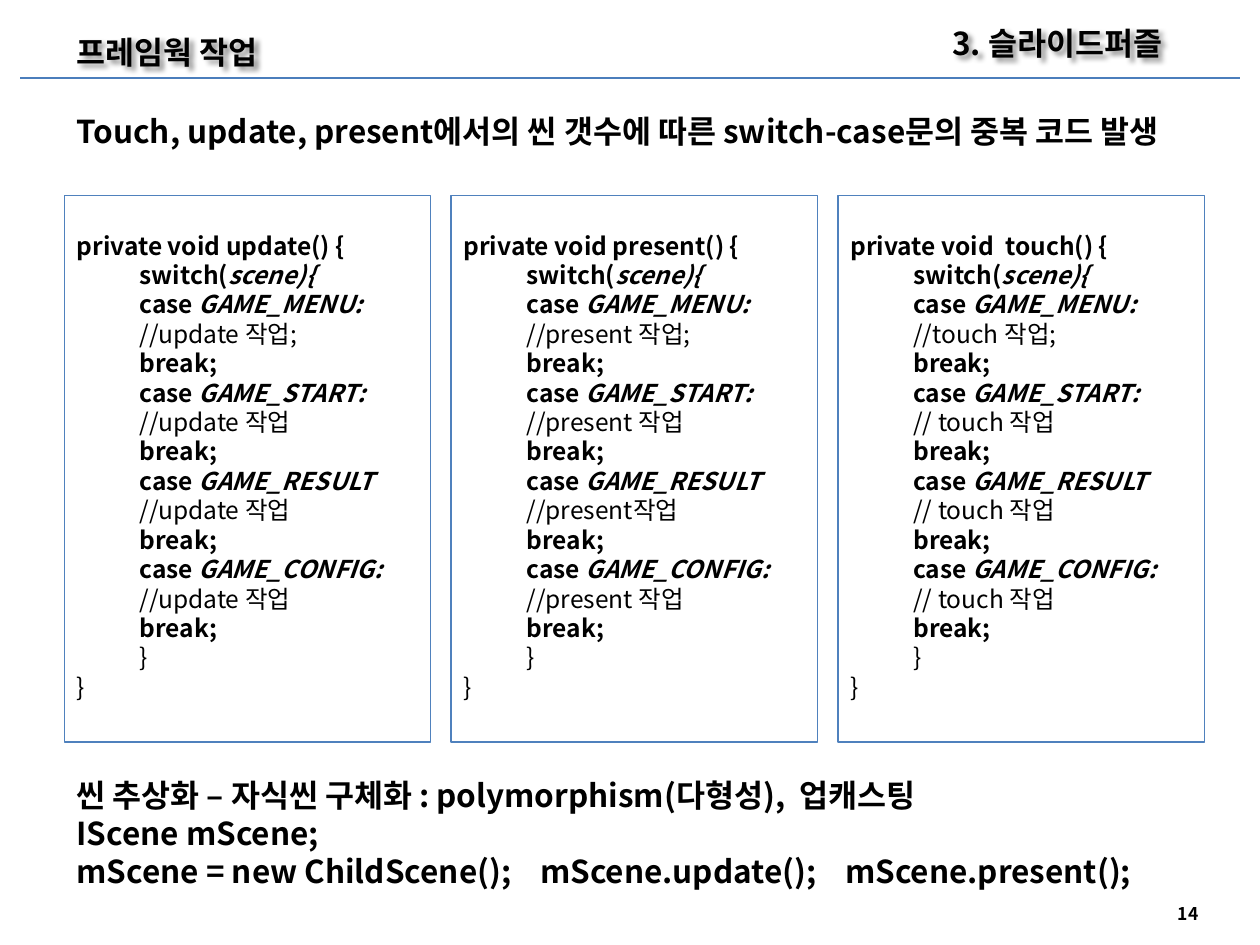
import pptx
import pptx.util
import pptx.dml.color
import pptx.enum.shapes
import pptx.enum.text
import pptx.oxml
import pptx.oxml.ns
from lxml import etree

Inches = pptx.util.Inches
Pt = pptx.util.Pt
qn = pptx.oxml.ns.qn

FONT = "Noto Sans CJK KR"
COLORS = {"text": "000000", "rule": "4B7EBC", "panel": "4F81BD"}


def add_line(frame, runs, size, bold=True, indent=0):
    """Append a paragraph made of (text, italic) runs."""
    first = frame.paragraphs[0]
    paragraph = frame.add_paragraph() if first.runs else first
    paragraph.alignment = pptx.enum.text.PP_ALIGN.LEFT
    paragraph.line_spacing = Pt(size * 1.2)
    if indent:
        paragraph.level = 1
        properties = paragraph._p.get_or_add_pPr()
        properties.set("marL", str(Inches(indent)))
        properties.set("indent", "0")
    font = paragraph.font
    font.name, font.size, font.bold = FONT, Pt(size), bold
    font.color.rgb = pptx.dml.color.RGBColor.from_string(COLORS["text"])
    etree.SubElement(font._element, qn("a:ea"), typeface=FONT)
    for text, italic in runs:
        run = paragraph.add_run()
        run.text = text
        if italic:
            run.font.italic = True
    return paragraph


def add_text(left, top, width, height, lines, size=18):
    box = slide.shapes.add_textbox(Inches(left), Inches(top), Inches(width), Inches(height))
    box.text_frame.word_wrap = False
    for line in lines:
        add_line(box.text_frame, [(line, False)], size)
    return box


presentation = pptx.Presentation()
presentation.slide_width = Inches(10)
presentation.slide_height = Inches(7.5)
slide = presentation.slides.add_slide(presentation.slide_layouts[6])

# Page number and header rule
add_text(9.25, 7.12, 0.65, 0.27, ["14"], size=10)
rule = slide.shapes.add_connector(
    pptx.enum.shapes.MSO_CONNECTOR.STRAIGHT,
    Inches(0.16), Inches(0.62), Inches(9.84), Inches(0.62))
rule.line.color.rgb = pptx.dml.color.RGBColor.from_string(COLORS["rule"])
rule.line.width = Pt(0.75)
etree.SubElement(rule._element.spPr, qn("a:effectLst"))

# Header titles with a soft shadow
chapter = add_text(7.46, 0.14, 2.02, 0.4, ["3. 슬라이드퍼즐"])
section = add_text(0.51, 0.21, 1.81, 0.4, ["프레임웍 작업"])
for title in (chapter, section):
    effects = etree.SubElement(title._element.spPr, qn("a:effectLst"))
    shadow = etree.SubElement(effects, qn("a:outerShdw"), blurRad="38100",
                              dist="38100", dir="2700000", algn="tl")
    shade = etree.SubElement(shadow, qn("a:srgbClr"), val=COLORS["text"])
    etree.SubElement(shade, qn("a:alpha"), val="43000")

# Problem statement
add_text(0.51, 0.84, 9.26, 0.4,
         ["Touch, update, present에서의 씬 갯수에 따른 switch-case문의 중복 코드 발생"])

# Code panels: signature, then one comment for each scene
scenes = ["GAME_MENU:", "GAME_START:", "GAME_RESULT", "GAME_CONFIG:"]
panels = [
    ("private void update() {",
     ["//update 작업;", "//update 작업", "//update 작업", "//update 작업"]),
    ("private void present() {",
     ["//present 작업;", "//present 작업", "//present작업", "//present 작업"]),
    ("private void  touch() {",
     ["//touch 작업;", "// touch 작업", "// touch 작업", "// touch 작업"]),
]
for column, (signature, comments) in enumerate(panels):
    panel = slide.shapes.add_shape(
        pptx.enum.shapes.MSO_SHAPE.RECTANGLE,
        Inches(0.51 + 3.07 * column), Inches(1.55), Inches(2.91), Inches(4.34))
    panel.shadow.inherit = False
    panel.fill.background()
    panel.line.color.rgb = pptx.dml.color.RGBColor.from_string(COLORS["panel"])
    panel.line.width = Pt(0.75)
    frame = panel.text_frame
    frame.word_wrap = True
    frame.vertical_anchor = pptx.enum.text.MSO_ANCHOR.TOP
    frame.margin_top = Inches(0.28)

    add_line(frame, [(signature, False)], 14)
    add_line(frame, [("switch(", False), ("scene){", True)], 14, indent=0.5)
    for scene, comment in zip(scenes, comments):
        add_line(frame, [("case ", False), (scene, True)], 14, indent=0.5)
        add_line(frame, [(comment, False)], 14, bold=False, indent=0.5)
        add_line(frame, [("break;", False)], 14, indent=0.5)
    add_line(frame, [("}", False)], 14, bold=False, indent=0.5)
    add_line(frame, [("}", False)], 14, bold=False)

# Solution, with the calls set on tab stops
solution = add_text(0.51, 6.11, 9, 1.01, [
    "씬 추상화 – 자식씬 구체화 : polymorphism(다형성),  업캐스팅",
    "IScene mScene;",
    "mScene = new ChildScene();\tmScene.update();\tmScene.present();",
])
solution.text_frame.word_wrap = True
calls = solution.text_frame.paragraphs[-1]
tabs = etree.Element(qn("a:tabLst"))
for position in (3.68, 6.1):
    etree.SubElement(tabs, qn("a:tab"), pos=str(Inches(position)), algn="l")
calls.font._element.addprevious(tabs)

presentation.save("out.pptx")
